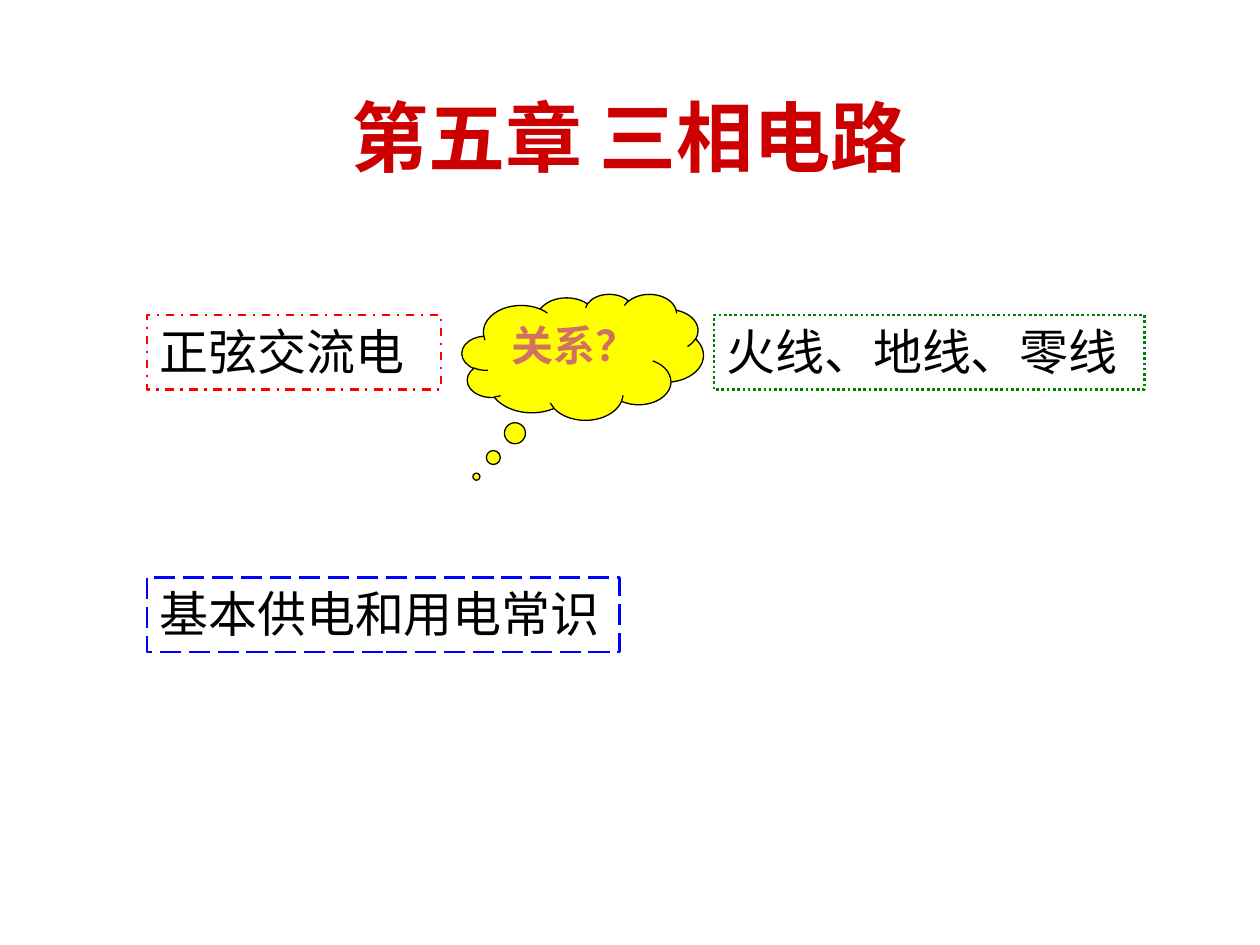
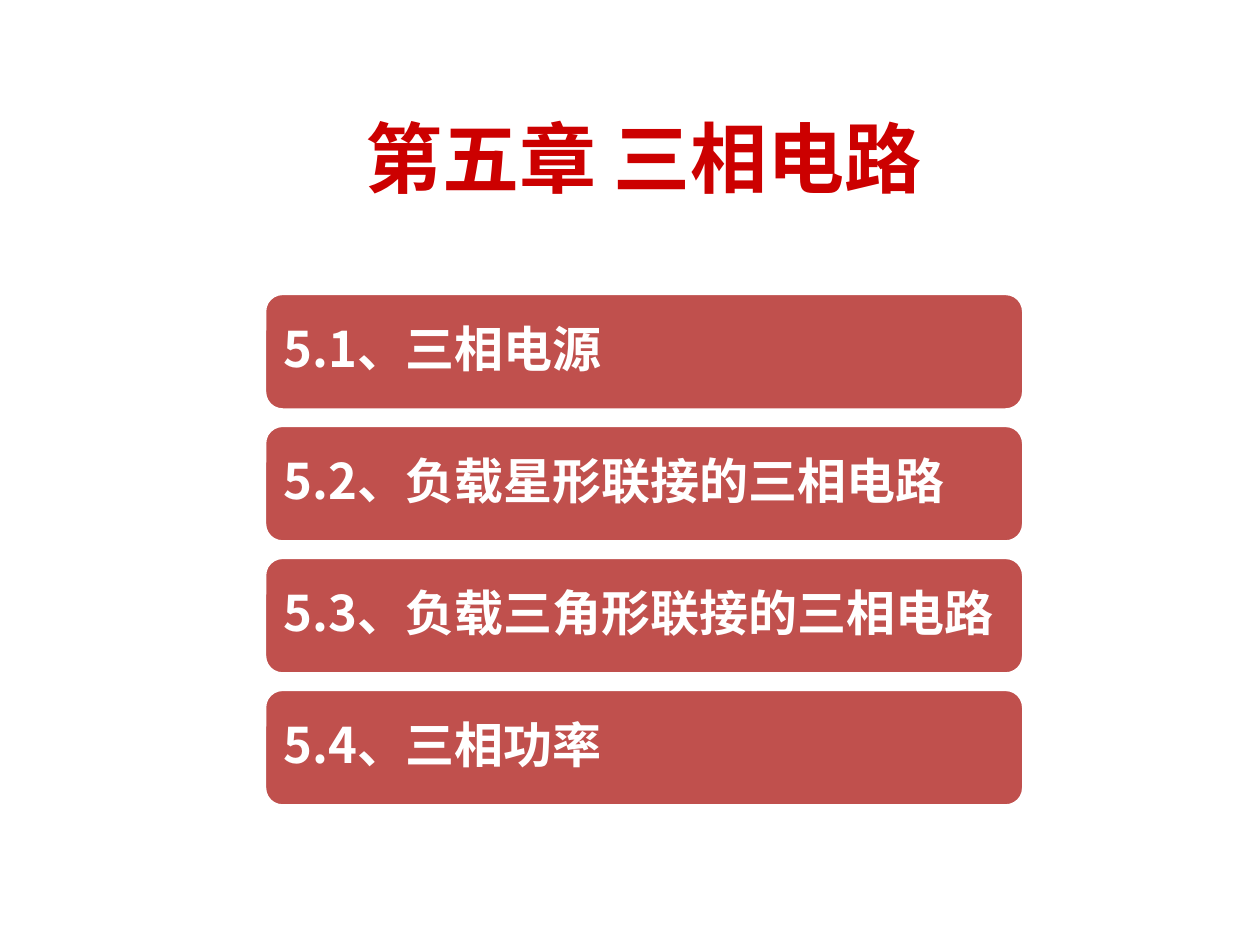
from lxml import etree
from pptx import Presentation
from pptx import util as u
from pptx.dml.color import RGBColor
from pptx.enum import dml, shapes, text
from pptx.oxml.ns import qn

deck = Presentation()
deck.slide_width, deck.slide_height = u.Inches(10), u.Inches(7.5)
COLUMN = deck.slide_width / 120
ROW = deck.slide_height / 90

BLACK, WHITE, TITLE_RED, BAR_RED = "000000", "FFFFFF", "CC0000", "C0504D"
BODY_FONT, TITLE_FONT, BAR_FONT = "DejaVu Sans", "Noto Sans CJK JP", "Noto Sans CJK SC"


def colour(value):
    return RGBColor.from_string(value)


def write(box, words, size, font, shade, bold=False, align=text.PP_ALIGN.LEFT, spacing=None):
    para = box.text_frame.paragraphs[0]
    para.alignment = align
    para.space_before = u.Pt(0)
    para.line_spacing = spacing
    span = para.add_run()
    span.text = words
    span.font.size = u.Pt(size)
    span.font.name = font
    span.font.bold = bold
    span.font.color.rgb = colour(shade)
    etree.SubElement(span.font._element, qn("a:ea"), typeface=font)


pages = []
for column, row, columns, rows in [(8.3, 4.8, 103.4, 17.4), (24.1, 10.1, 74.4, 10.8)]:
    page = deck.slides.add_slide(deck.slide_layouts[5])
    title = page.shapes.title
    title.left, title.top = int(column * COLUMN), int(row * ROW)
    title.width, title.height = int(columns * COLUMN), int(rows * ROW)
    title.text_frame.vertical_anchor = text.MSO_ANCHOR.MIDDLE
    title.text_frame.auto_size = text.MSO_AUTO_SIZE.NONE
    write(title, "第五章 三相电路", 44, TITLE_FONT, TITLE_RED, True, text.PP_ALIGN.CENTER, 0.9)
    pages.append(page)

intro, contents = pages

topics = [
    ("正弦交流电", 14, 30, 28, "FF0000", 1.25, dml.MSO_LINE.DASH_DOT),
    ("火线、地线、零线", 68, 30, 41, "008000", 1.5, dml.MSO_LINE.ROUND_DOT),
    ("基本供电和用电常识", 14, 55, 45, "0000FF", 1.5, dml.MSO_LINE.LONG_DASH),
]
for words, column, row, columns, edge, weight, dash in topics:
    box = intro.shapes.add_shape(
        shapes.MSO_SHAPE.RECTANGLE,
        int(column * COLUMN), int(row * ROW), int(columns * COLUMN), int(7.1 * ROW))
    box.shadow.inherit = False
    box.fill.background()
    box.line.color.rgb = colour(edge)
    box.line.width = u.Pt(weight)
    box.line.dash_style = dash
    box.text_frame.vertical_anchor = text.MSO_ANCHOR.TOP
    write(box, words, 28, BODY_FONT, BLACK)

cloud = intro.shapes.add_shape(
    shapes.MSO_SHAPE.CLOUD_CALLOUT,
    int(44 * COLUMN), int(28 * ROW), int(23 * COLUMN), int(12 * ROW))
cloud.adjustments[0], cloud.adjustments[1] = -0.44, 0.95
cloud.shadow.inherit = False
cloud.fill.solid()
cloud.fill.fore_color.rgb = colour("FFFF00")
cloud.line.color.rgb = colour(BLACK)
cloud.line.width = u.Pt(0.75)
cloud.text_frame.vertical_anchor = text.MSO_ANCHOR.TOP
write(cloud, "关系？", 24, BODY_FONT, "D17161", True, text.PP_ALIGN.CENTER)

sections = ["三相电源", "负载星形联接的三相电路", "负载三角形联接的三相电路", "三相功率"]
for index, section in enumerate(sections):
    bar = contents.shapes.add_shape(
        shapes.MSO_SHAPE.ROUNDED_RECTANGLE,
        int(25 * COLUMN), int((27.75 + index * 12.57) * ROW),
        int(72.7 * COLUMN), int(11.5 * ROW))
    bar.shadow.inherit = False
    bar.fill.solid()
    bar.fill.fore_color.rgb = colour(BAR_RED)
    bar.line.color.rgb = colour(WHITE)
    bar.line.width = u.Pt(4.33)
    bar.text_frame.word_wrap = True
    bar.text_frame.vertical_anchor = text.MSO_ANCHOR.MIDDLE
    bar.text_frame.margin_left = int(1.44 * COLUMN)
    bar.text_frame.margin_right = int(0.6 * COLUMN)
    write(bar, f"5.{index + 1}、{section}", 28, BAR_FONT, WHITE, True, spacing=0.9)

deck.save("out.pptx")
